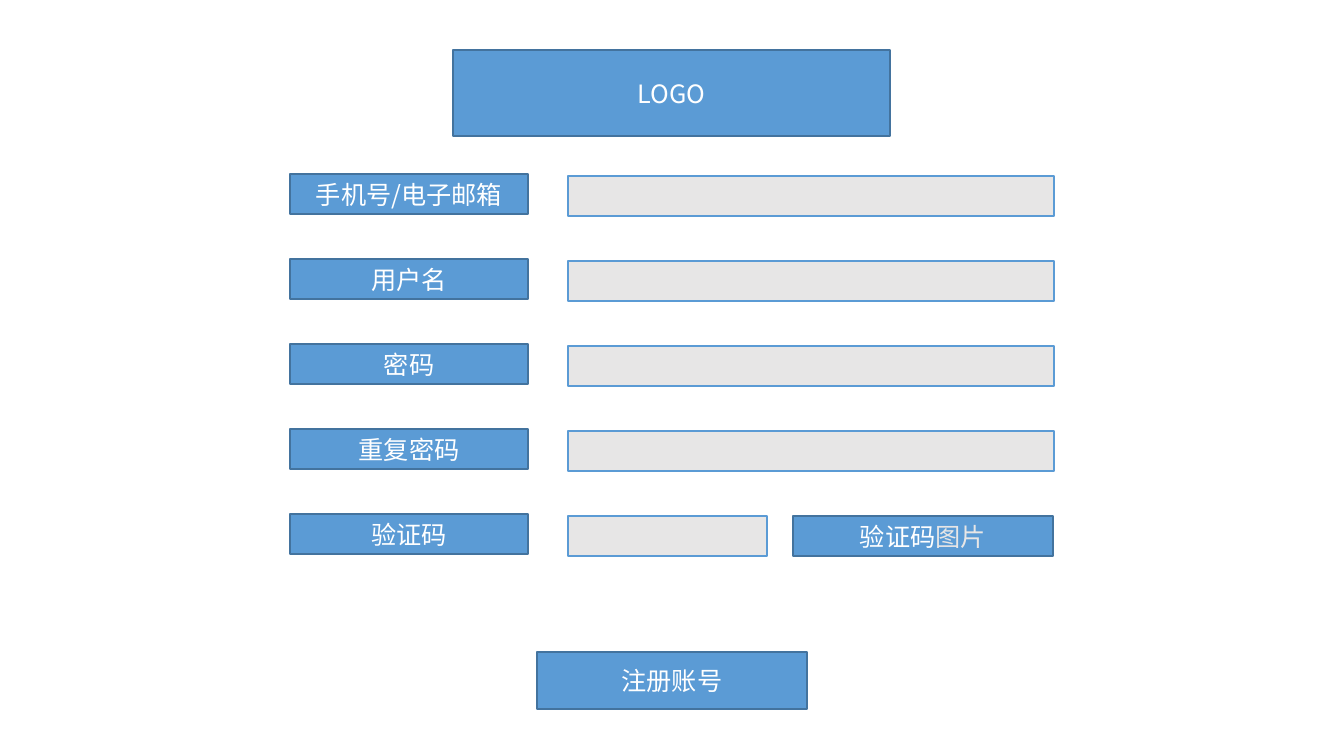
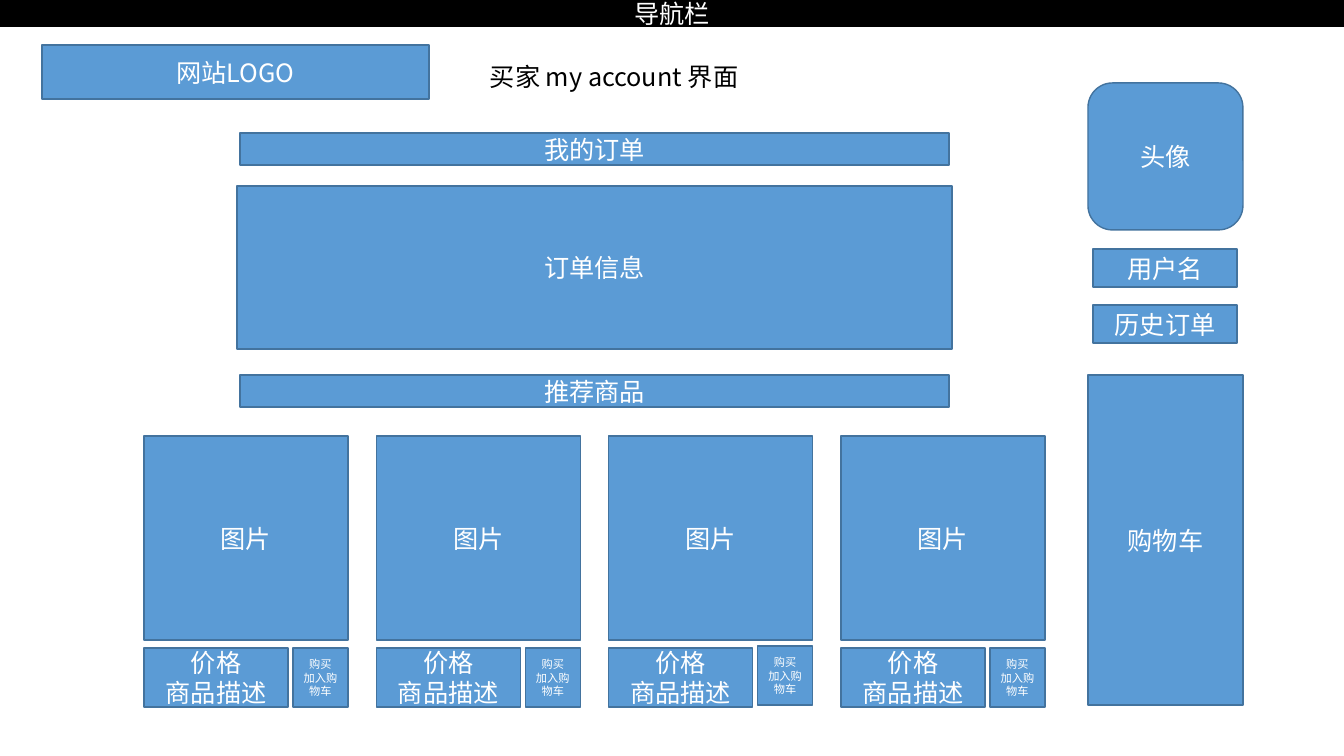
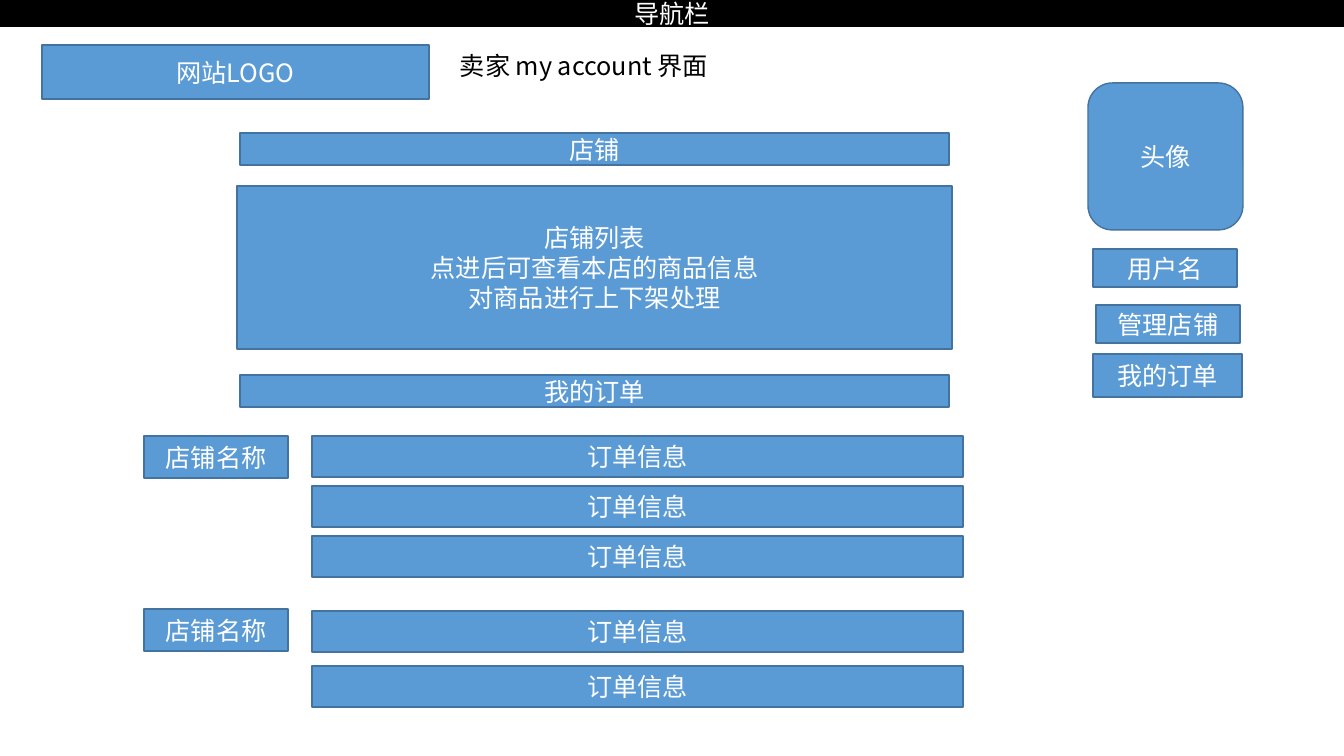
from pptx import Presentation
from pptx.dml.color import RGBColor
from pptx.enum.shapes import MSO_SHAPE
from pptx.enum.text import MSO_ANCHOR, MSO_AUTO_SIZE, PP_ALIGN
from pptx.oxml.ns import qn
from pptx.util import Pt
from lxml import etree

RECT, ROUNDED = MSO_SHAPE.RECTANGLE, MSO_SHAPE.ROUNDED_RECTANGLE
CENTER, MIDDLE = PP_ALIGN.CENTER, MSO_ANCHOR.MIDDLE
GROW = MSO_AUTO_SIZE.SHAPE_TO_FIT_TEXT

BLUE = RGBColor(0x5B, 0x9B, 0xD5)
EDGE = RGBColor(0x43, 0x73, 0x9E)
GRAY = RGBColor(0xE7, 0xE6, 0xE6)
BLACK = RGBColor(0, 0, 0)
WHITE = RGBColor(255, 255, 255)

FONT = "Noto Sans CJK SC"
EMU_PER_PX = 914400 / 100.8
WIDTH, HEIGHT = 1344, 756

# Registration form: (left, top, width, height), text
FORM_LOGO = ((453, 50, 437, 86), "LOGO")
REGISTER_BUTTON = ((537, 652, 270, 57), "注册账号")
FORM_LABELS = ["手机号/电子邮箱", "用户名", "密码", "重复密码", "验证码"]
LABEL_LEFT, LABEL_TOP, LABEL_WIDTH = 290, 174, 238
FIELD_LEFT, FIELD_TOP, FIELD_WIDTH, CODE_FIELD_WIDTH = 568, 176, 486, 199
FORM_PITCH, FORM_ROW_HEIGHT = 85, 40
CODE_IMAGE_LEFT, CODE_IMAGE_WIDTH = 793, 260

# Parts both account pages share
SITE_LOGO = ((42, 45, 387, 54), "网站LOGO")
AVATAR = ((1088, 83, 155, 147), "头像")
USER_NAME = ((1093, 249, 144, 38), "用户名")
HEADING_TOPS = [133, 375]
HEADING_LEFT, HEADING_WIDTH, HEADING_HEIGHT = 240, 709, 32
PANEL = (237, 186, 715, 163)

BUYER = {
    "title": ((480, 56, 340, 40), "买家 my account 界面"),
    "headings": ["我的订单", "推荐商品"],
    "panel": "订单信息",
    "sidebar": [((1093, 305, 144, 38), "历史订单"),
                ((1088, 375, 155, 330), "购物车")],
}
SELLER = {
    "title": ((450, 45, 447, 40), "卖家 my account 界面"),
    "headings": ["店铺", "我的订单"],
    "panel": "店铺列表\n点进后可查看本店的商品信息\n对商品进行上下架处理",
    "sidebar": [((1096, 305, 144, 38), "管理店铺"),
                ((1093, 354, 149, 43), "我的订单")],
}

# Product cards: tops of the buy buttons, one per card
BUY_TOPS = [648, 648, 646, 648]
CARDS_LEFT, CARDS_RIGHT, CARD_TOP, CARD_SIZE = 144, 1045, 436, 204
PRICE_TOP, PRICE_WIDTH, BUY_WIDTH, CAPTION_HEIGHT = 648, 144, 55, 59

# Shops: label top, first order top, order count, order pitch
SHOPS = [(436, 436, 3, 50), (609, 611, 2, 55)]
SHOP_LEFT, SHOP_WIDTH, SHOP_HEIGHT = 144, 144, 42
ORDER_LEFT, ORDER_WIDTH, ORDER_HEIGHT = 312, 651, 41


def px(value):
    return round(value * EMU_PER_PX)


def add_text(paragraph, text, color, size=18):
    run = paragraph.add_run()
    run.text = text
    for key, value in {"name": FONT, "size": Pt(size)}.items():
        setattr(run.font, key, value)
    run.font.color.rgb = color
    east_asian = etree.SubElement(run.font._element, qn("a:ea"))
    east_asian.set("typeface", FONT)


def add_box(slide, place, text="", fill=BLUE, line=EDGE, size=18, form=RECT):
    box = slide.shapes.add_shape(form, *map(px, place))
    box.shadow.inherit = False
    box.fill.solid()
    box.fill.fore_color.rgb = fill
    box.line.color.rgb = line
    box.line.width = Pt(1)
    frame = box.text_frame
    frame.word_wrap = True
    frame.vertical_anchor = MIDDLE
    for i, words in enumerate(text.split("\n") if text else []):
        paragraph = frame.add_paragraph() if i else frame.paragraphs[0]
        paragraph.alignment = CENTER
        add_text(paragraph, words, WHITE, size)
    return box


def build_form(slide):
    for place, text in (FORM_LOGO, REGISTER_BUTTON):
        add_box(slide, place, text)
    last = len(FORM_LABELS) - 1
    for i, label in enumerate(FORM_LABELS):
        shift = i * FORM_PITCH
        width = CODE_FIELD_WIDTH if i == last else FIELD_WIDTH
        add_box(slide, (FIELD_LEFT, FIELD_TOP + shift, width, FORM_ROW_HEIGHT),
                fill=GRAY, line=BLUE)
        add_box(slide, (LABEL_LEFT, LABEL_TOP + shift, LABEL_WIDTH, FORM_ROW_HEIGHT),
                label)
    code_image = add_box(slide, (CODE_IMAGE_LEFT, FIELD_TOP + last * FORM_PITCH,
                                 CODE_IMAGE_WIDTH, FORM_ROW_HEIGHT), "验证码")
    add_text(code_image.text_frame.paragraphs[0], "图片", GRAY)


def build_account(slide, page):
    add_box(slide, (0, 0, WIDTH, 26), "导航栏", fill=BLACK, line=BLACK)
    add_box(slide, *AVATAR, form=ROUNDED)
    for place, text in [SITE_LOGO, USER_NAME, (PANEL, page["panel"]), *page["sidebar"]]:
        add_box(slide, place, text)
    for top, heading in zip(HEADING_TOPS, page["headings"]):
        add_box(slide, (HEADING_LEFT, top, HEADING_WIDTH, HEADING_HEIGHT), heading)
    place, text = page["title"]
    title = slide.shapes.add_textbox(*map(px, place)).text_frame
    title.word_wrap = True
    title.auto_size = GROW
    add_text(title.paragraphs[0], text, BLACK)


def build_products(slide):
    pitch = (CARDS_RIGHT - CARDS_LEFT - CARD_SIZE) / (len(BUY_TOPS) - 1)
    for i, buy_top in enumerate(BUY_TOPS):
        left = CARDS_LEFT + i * pitch
        buy_left = left + CARD_SIZE - BUY_WIDTH
        add_box(slide, (left, CARD_TOP, CARD_SIZE, CARD_SIZE), "图片")
        add_box(slide, (left, PRICE_TOP, PRICE_WIDTH, CAPTION_HEIGHT), "价格\n商品描述")
        add_box(slide, (buy_left, buy_top, BUY_WIDTH, CAPTION_HEIGHT),
                "购买\n加入购物车", size=8)


def build_shops(slide):
    for shop_top, first_order, count, pitch in SHOPS:
        add_box(slide, (SHOP_LEFT, shop_top, SHOP_WIDTH, SHOP_HEIGHT), "店铺名称")
        for i in range(count):
            add_box(slide, (ORDER_LEFT, first_order + i * pitch,
                            ORDER_WIDTH, ORDER_HEIGHT), "订单信息")


def main():
    deck = Presentation()
    deck.slide_width, deck.slide_height = px(WIDTH), px(HEIGHT)
    blank = deck.slide_layouts[6]
    form, buyer, seller = (deck.slides.add_slide(blank) for _ in range(3))
    build_form(form)
    build_account(buyer, BUYER)
    build_products(buyer)
    build_account(seller, SELLER)
    build_shops(seller)
    deck.save("out.pptx")


if __name__ == "__main__":
    main()
